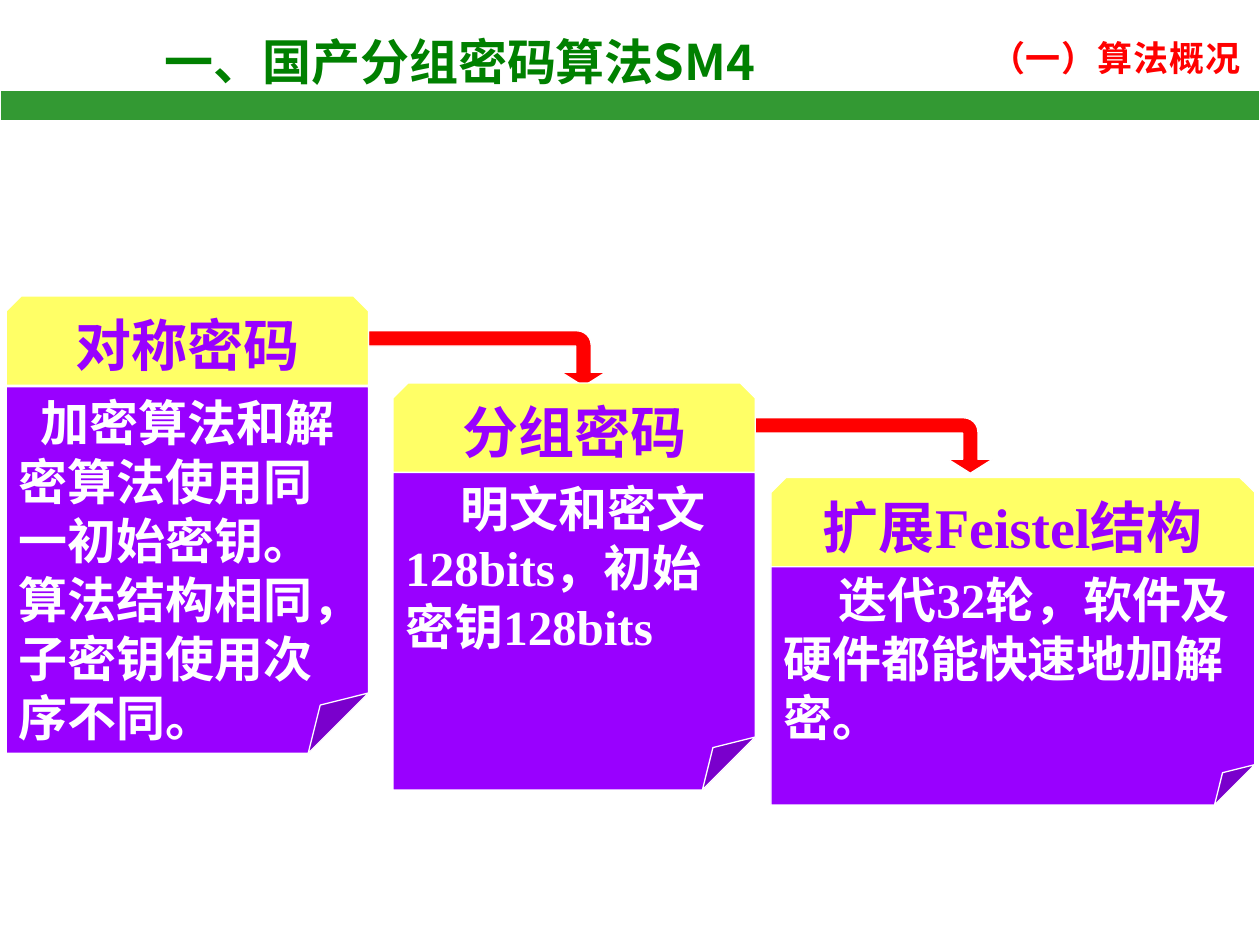
from pptx import Presentation
from pptx.dml.color import RGBColor
from pptx.enum.shapes import MSO_SHAPE
from pptx.enum.text import MSO_ANCHOR, PP_ALIGN
from pptx.oxml.ns import qn
from pptx.util import Pt
from lxml.etree import SubElement

SANS = "Noto Sans CJK SC"
SERIF = "Times New Roman"
WHITE, RED, GREEN = "FFFFFF", "FF0000", "339933"
PURPLE, YELLOW = "9900FF", "FFFF66"


def color(value):
    return RGBColor.from_string(value)


def write(frame, text, size=28, font=SERIF, ink=WHITE, align=PP_ALIGN.LEFT,
          anchor=MSO_ANCHOR.TOP, indent=0, spacing=0, wrap=True):
    frame.word_wrap = wrap
    frame.vertical_anchor = anchor
    para = frame.paragraphs[0]
    para.alignment = align
    if indent:
        para._p.get_or_add_pPr().set("indent", str(Pt(indent)))
    span = para.add_run()
    span.text = text
    span.font.size = Pt(size)
    span.font.bold = True
    span.font.name = font
    span.font.color.rgb = color(ink)
    properties = span._r.get_or_add_rPr()
    properties.set("lang", "zh-CN")
    if spacing:
        properties.set("spc", str(int(spacing * 100)))
    SubElement(properties, qn("a:ea")).set("typeface", SANS)


class Slide:
    def __init__(self, page):
        self.page = page

    def label(self, left, top, width, height, text, **style):
        box = self.page.shapes.add_textbox(Pt(left), Pt(top), Pt(width), Pt(height))
        write(box.text_frame, text, **style)

    def block(self, kind, left, top, width, height, fill):
        shape = self.page.shapes.add_shape(kind, Pt(left), Pt(top), Pt(width), Pt(height))
        shape.shadow.inherit = False
        shape.fill.solid()
        shape.fill.fore_color.rgb = color(fill)
        shape.line.color.rgb = color(WHITE)
        shape.line.width = Pt(0.75)
        return shape

    def heading(self, left, top, width, text):
        shape = self.block(MSO_SHAPE.SNIP_2_SAME_RECTANGLE, left, top, width, 51, YELLOW)
        write(shape.text_frame, text, size=32, ink=PURPLE,
              align=PP_ALIGN.CENTER, anchor=MSO_ANCHOR.MIDDLE)

    def note(self, left, top, width, height, text, **style):
        shape = self.block(MSO_SHAPE.FOLDED_CORNER, left, top, width, height, PURPLE)
        write(shape.text_frame, text, **style)

    def arrow(self, card_right, card_top):
        width, height = 31.7, 135.4
        left = card_right + (height - width) / 2
        top = card_top + 35.7 - height / 2
        shape = self.block(MSO_SHAPE.BENT_ARROW, left, top, width, height, RED)
        shape.rotation = 90
        for index, value in enumerate((0.277, 0.397, 0.25, 0.258)):
            shape.adjustments[index] = value


def main():
    deck = Presentation()
    deck.slide_width, deck.slide_height = Pt(720), Pt(540)
    slide = Slide(deck.slides.add_slide(deck.slide_layouts[6]))

    slide.label(558.7, 17.3, 160.6, 31.7, "（一）算法概况", size=20, font=SANS,
                ink=RED, spacing=0.5, wrap=False)
    slide.label(87, 14.4, 382.5, 41, "一、国产分组密码算法SM4", font=SANS, ink="008000")
    slide.block(MSO_SHAPE.RECTANGLE, 0, 51.8, 720, 17.3, GREEN)

    headings = [
        (3.6, 169.2, 207, "对称密码"),
        (224.6, 218.9, 207, "分组密码"),
        (440.6, 272.9, 276.5, "扩展Feistel结构"),
    ]
    notes = [
        (221, 209.5, "加密算法和解密算法使用同一初始密钥。算法结构相同，子密钥使用次序不同。", SANS, 12.5),
        (270, 181.4, "明文和密文128bits，初始密钥128bits", SERIF, 31.5),
        (321.8, 138.2, "迭代32轮，软件及硬件都能快速地加解密。", SERIF, 31.5),
    ]
    for (left, _, width, _), (top, height, text, font, indent) in zip(headings, notes):
        slide.note(left, top, width, height, text, font=font, indent=indent)
    for left, top, width, _ in headings[:-1]:
        slide.arrow(left + width, top)
    for heading in headings:
        slide.heading(*heading)

    deck.save("out.pptx")


if __name__ == "__main__":
    main()
